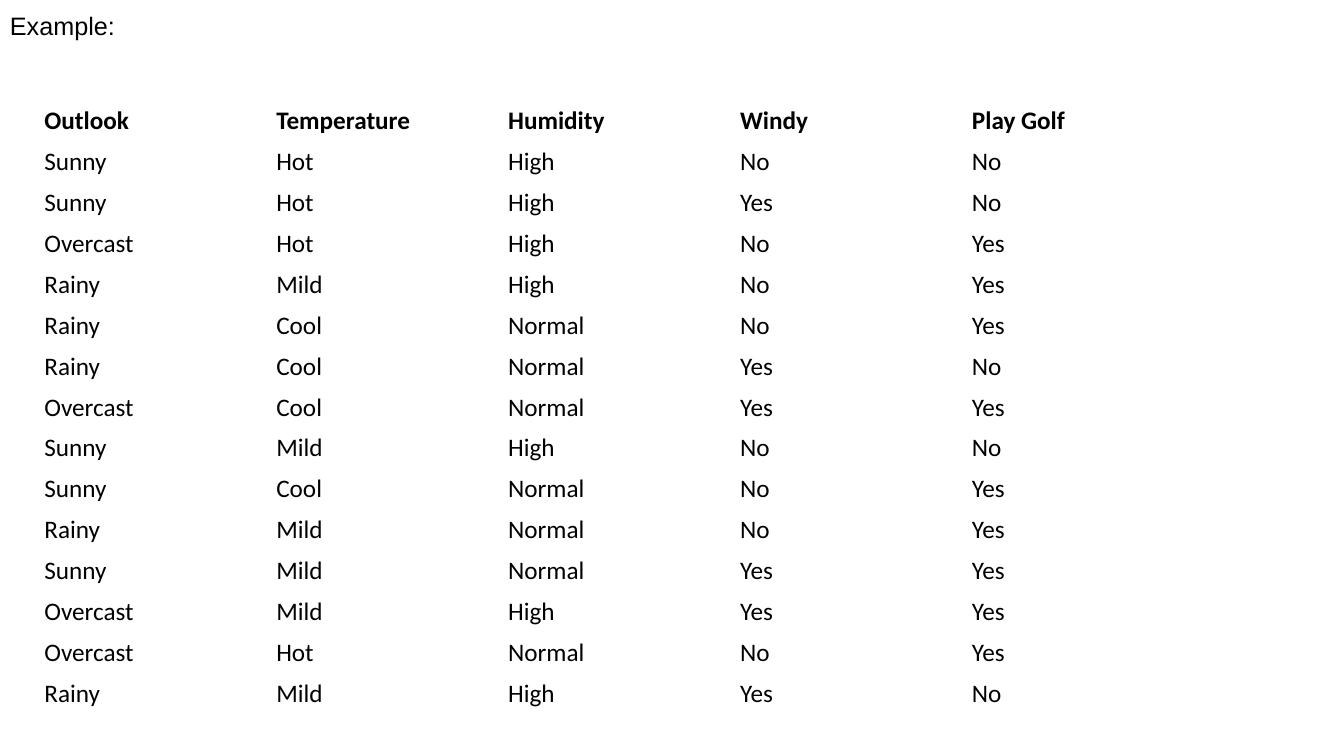
from dataclasses import dataclass

from pptx import Presentation
from pptx.dml.color import RGBColor
from pptx.enum.text import MSO_ANCHOR, MSO_AUTO_SIZE
from pptx.util import Inches, Pt

MIDDLE = MSO_ANCHOR.MIDDLE
GROW = MSO_AUTO_SIZE.SHAPE_TO_FIT_TEXT


@dataclass(frozen=True)
class Theme:
    """Hold the colours, fonts and type sizes of the slide."""
    ink: RGBColor = RGBColor(0, 0, 0)
    paper: RGBColor = RGBColor(255, 255, 255)
    size: int = 18
    head: str = "Arial"
    body: str = "Calibri"


THEME = Theme()

GOLF = [
    ("Outlook", "Temperature", "Humidity", "Windy", "Play Golf"),
    ("Sunny", "Hot", "High", "No", "No"),
    ("Sunny", "Hot", "High", "Yes", "No"),
    ("Overcast", "Hot", "High", "No", "Yes"),
    ("Rainy", "Mild", "High", "No", "Yes"),
    ("Rainy", "Cool", "Normal", "No", "Yes"),
    ("Rainy", "Cool", "Normal", "Yes", "No"),
    ("Overcast", "Cool", "Normal", "Yes", "Yes"),
    ("Sunny", "Mild", "High", "No", "No"),
    ("Sunny", "Cool", "Normal", "No", "Yes"),
    ("Rainy", "Mild", "Normal", "No", "Yes"),
    ("Sunny", "Mild", "Normal", "Yes", "Yes"),
    ("Overcast", "Mild", "High", "Yes", "Yes"),
    ("Overcast", "Hot", "Normal", "No", "Yes"),
    ("Rainy", "Mild", "High", "Yes", "No"),
]


def write(frame, text, font=THEME.body, size=THEME.size, color=THEME.ink, bold=False):
    """Put formatted text into a text frame."""
    run = frame.paragraphs[0].add_run()
    run.text = text
    run.font.name = font
    run.font.size = Pt(size)
    run.font.color.rgb = color
    run.font.bold = bold


def add_label(slide, text, left, top, width, height):
    """Add a one-line text box that fits its text."""
    box = slide.shapes.add_textbox(Inches(left), Inches(top), Inches(width), Inches(height))
    frame = box.text_frame
    frame.word_wrap = False
    frame.auto_size = GROW
    frame.vertical_anchor = MIDDLE
    write(frame, text, font=THEME.head)


def add_grid(slide, rows, left, top, width, height):
    """Add a plain table with even rows and columns and a bold first row."""
    table = slide.shapes.add_table(
        len(rows), len(rows[0]), Inches(left), Inches(top), Inches(width), Inches(height)
    ).table
    table.first_row = False
    table.horz_banding = False
    for r, row in enumerate(rows):
        for c, text in enumerate(row):
            cell = table.cell(r, c)
            cell.fill.background()
            cell.vertical_anchor = MIDDLE
            write(cell.text_frame, text, bold=r == 0)


def main():
    """Build the slide and save it."""
    deck = Presentation()
    deck.slide_width = Inches(13.33)
    deck.slide_height = Inches(7.5)
    slide = deck.slides.add_slide(deck.slide_layouts[6])
    slide.background.fill.solid()
    slide.background.fill.fore_color.rgb = THEME.paper
    add_grid(slide, GOLF, 0.34, 1, 11.5, 6)
    add_label(slide, "Example:", 0, 0.05, 1.25, 0.4)
    deck.save("out.pptx")


if __name__ == "__main__":
    main()
